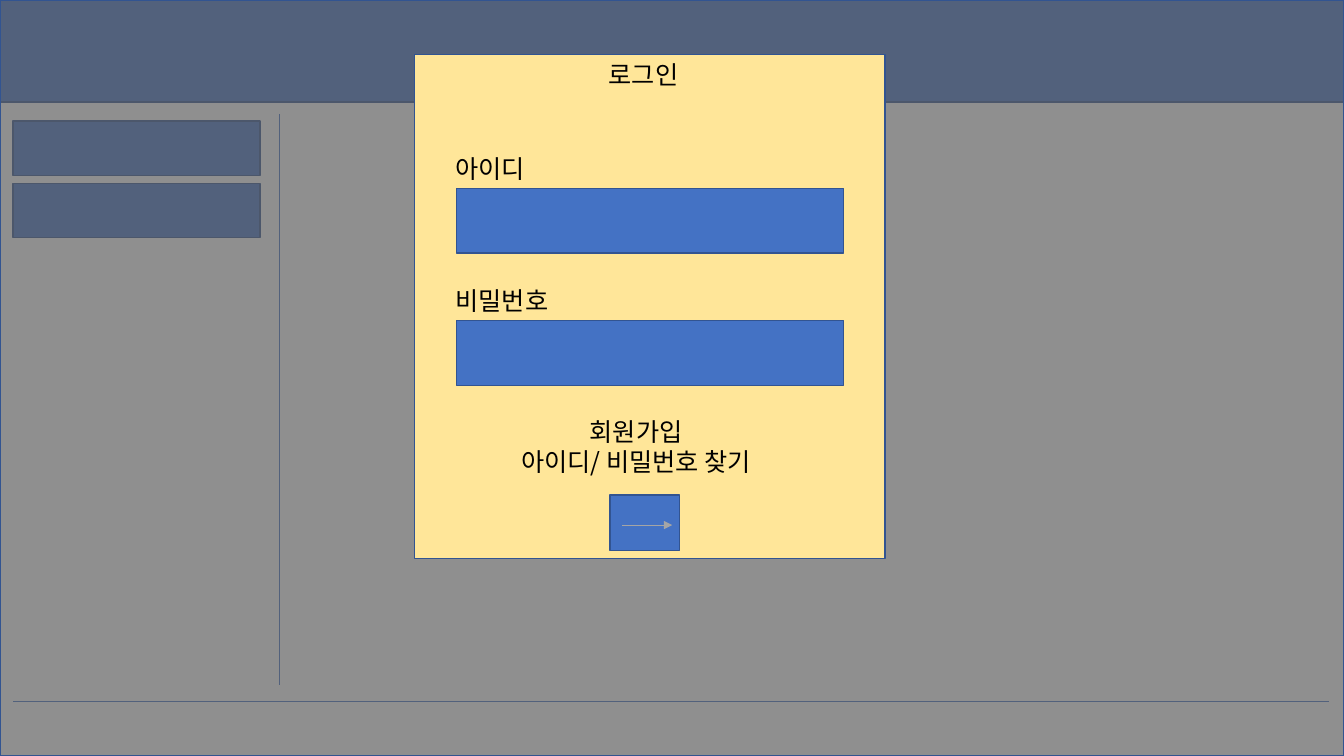
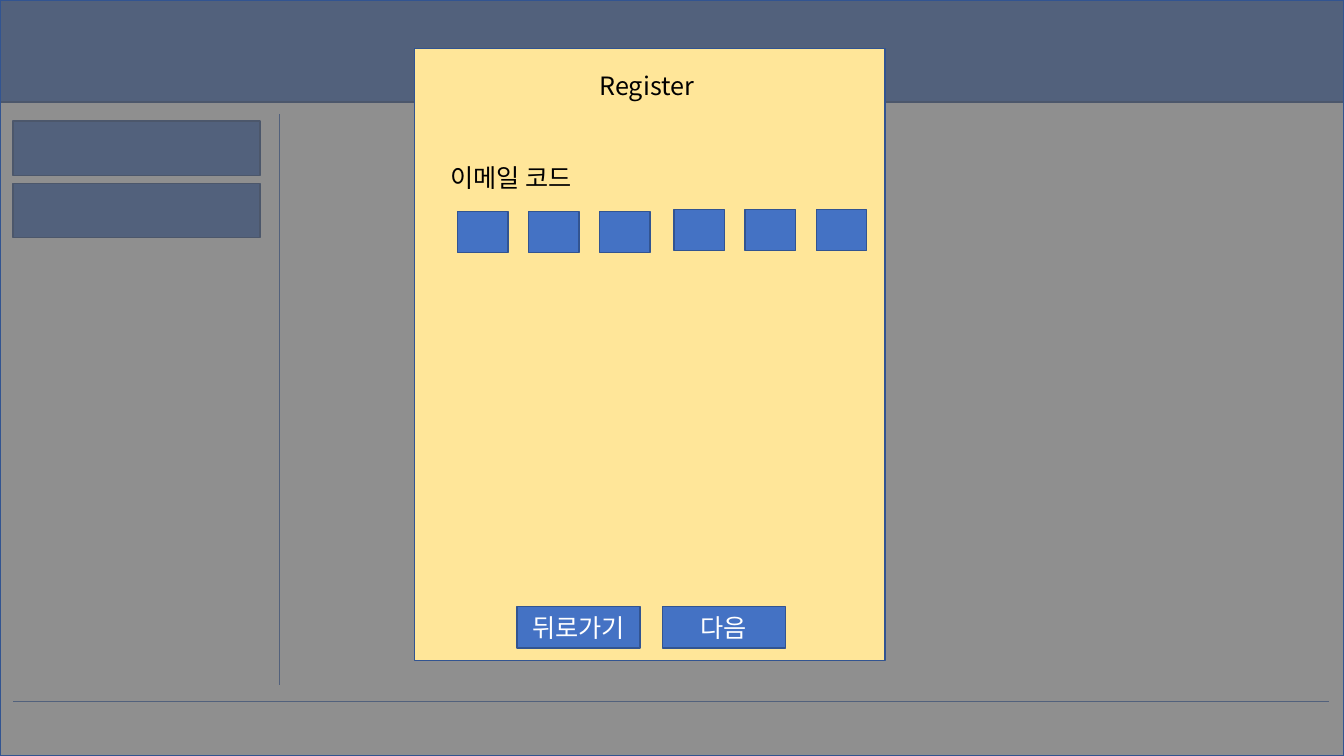
from dataclasses import dataclass

from lxml.etree import SubElement
from pptx import Presentation
from pptx.dml.color import RGBColor
from pptx.enum.shapes import MSO_CONNECTOR as Connector, MSO_SHAPE as Preset
from pptx.enum.text import MSO_ANCHOR as Anchor, MSO_AUTO_SIZE as AutoSize, PP_ALIGN as Align
from pptx.oxml.ns import qn
from pptx.shapes.autoshape import Shape
from pptx.shapes.connector import Connector as Line
from pptx.slide import Slide
from pptx.text.text import TextFrame
from pptx.util import Cm, Pt

# Shared look; lengths are in centimetres
WIDTH, HEIGHT = 33.87, 19.05
FONT, TEXT_SIZE = "Noto Sans CJK KR", 18
BLUE, OUTLINE, PANEL = "4472C4", "325491", "FFE699"
VEIL, ARROW, BLACK, WHITE = "595959", "A5A5A5", "000000", "FFFFFF"
TEXT_HEIGHT = 1.02
PANEL_LEFT, PANEL_WIDTH = 10.44, 11.86


@dataclass(frozen=True)
class Box:
    left: float
    top: float
    width: float
    height: float

    def moved(self, right: float = 0, down: float = 0) -> "Box":
        return Box(self.left + right, self.top + down, self.width, self.height)

    def lengths(self) -> tuple[Cm, Cm, Cm, Cm]:
        return Cm(self.left), Cm(self.top), Cm(self.width), Cm(self.height)


def color(value: str) -> RGBColor:
    return RGBColor.from_string(value)


# Drawing helpers
def write(frame: TextFrame, text: str, text_color: str, align: Align) -> None:
    frame.text = text
    for paragraph in frame.paragraphs:
        paragraph.alignment = align
        font = paragraph.font
        font.name, font.size = FONT, Pt(TEXT_SIZE)
        font.color.rgb = color(text_color)
        # Hangul takes the East Asian typeface
        properties = paragraph._p.pPr.find(qn("a:defRPr"))
        SubElement(properties, qn("a:ea")).set("typeface", FONT)


def draw_box(slide: Slide, box: Box, fill: str = BLUE, text: str = "") -> Shape:
    shape = slide.shapes.add_shape(Preset.RECTANGLE, *box.lengths())
    shape.shadow.inherit = False
    shape.fill.solid()
    shape.fill.fore_color.rgb = color(fill)
    shape.line.color.rgb = color(OUTLINE)
    shape.line.width = Pt(1)
    if text:
        shape.text_frame.vertical_anchor = Anchor.MIDDLE
        write(shape.text_frame, text, WHITE, Align.CENTER)
    return shape


def draw_text(slide: Slide, box: Box, text: str, align: Align = Align.LEFT) -> None:
    frame = slide.shapes.add_textbox(*box.lengths()).text_frame
    frame.word_wrap = True
    frame.auto_size = AutoSize.SHAPE_TO_FIT_TEXT
    write(frame, text, BLACK, align)


def draw_line(slide: Slide, left: float, top: float, right: float, bottom: float,
              line_color: str = BLUE) -> Line:
    line = slide.shapes.add_connector(
        Connector.STRAIGHT, Cm(left), Cm(top), Cm(right), Cm(bottom))
    line.line.color.rgb = color(line_color)
    line.line.width = Pt(0.5)
    SubElement(line._element.spPr, qn("a:effectLst"))
    return line


def draw_arrow(slide: Slide, left: float, right: float, level: float) -> None:
    arrow = draw_line(slide, left, level, right, level, ARROW)
    SubElement(arrow.line._get_or_add_ln(), qn("a:tailEnd")).set("type", "triangle")


# Dimmed page behind each dialog
def add_page(presentation: Presentation) -> Slide:
    slide = presentation.slides.add_slide(presentation.slide_layouts[6])
    draw_box(slide, Box(0, 0, WIDTH, 2.57))
    draw_line(slide, 7.04, 2.87, 7.04, 17.27)
    draw_line(slide, 0.33, 17.68, 33.5, 17.68)
    menu_item = Box(0.33, 3.05, 6.22, 1.37)
    for index in range(2):
        draw_box(slide, menu_item.moved(down=index * 1.57))
    veil = draw_box(slide, Box(0, 0, WIDTH, HEIGHT), VEIL)
    veil_color = veil._element.spPr.find(qn("a:solidFill"))[0]
    SubElement(veil_color, qn("a:alpha")).set("val", "67000")
    return slide


def add_login(presentation: Presentation) -> None:
    slide = add_page(presentation)
    draw_box(slide, Box(PANEL_LEFT, 1.37, PANEL_WIDTH, 12.7), PANEL)
    draw_text(slide, Box(15.09, 1.37, 3.66, TEXT_HEIGHT), "로그인")

    # Labelled input fields
    label_box = Box(11.23, 3.73, 3.66, TEXT_HEIGHT)
    input_box = Box(11.51, 4.75, 9.75, 1.63)
    for index, label in enumerate(("아이디", "비밀번호")):
        down = index * 3.33
        draw_text(slide, label_box.moved(down=down), label)
        draw_box(slide, input_box.moved(down=down))

    # Account options and submit button
    draw_text(slide, Box(12.5, 10.36, 7.06, 1.8),
              "회원가입\n아이디/ 비밀번호 찾기", Align.CENTER)
    draw_box(slide, Box(15.37, 12.47, 1.75, 1.4))
    draw_arrow(slide, 15.67, 16.94, 13.23)


def add_register(presentation: Presentation) -> None:
    slide = add_page(presentation)
    draw_box(slide, Box(PANEL_LEFT, 1.22, PANEL_WIDTH, 15.42), PANEL)
    draw_text(slide, Box(14.86, 1.65, 3.66, TEXT_HEIGHT), "Register")
    draw_text(slide, Box(11.1, 3.96, 4.27, TEXT_HEIGHT), "이메일 코드")

    # Two groups of three code digits
    for first_digit in (Box(11.53, 5.33, 1.27, 1.04), Box(16.99, 5.28, 1.27, 1.04)):
        for index in range(3):
            draw_box(slide, first_digit.moved(right=index * 1.79))

    # Navigation buttons
    button = Box(13.03, 15.29, 3.1, 1.04)
    for index, caption in enumerate(("뒤로가기", "다음")):
        draw_box(slide, button.moved(right=index * 3.66), text=caption)


presentation = Presentation()
presentation.slide_width, presentation.slide_height = Cm(WIDTH), Cm(HEIGHT)
add_login(presentation)
add_register(presentation)
presentation.save("out.pptx")
